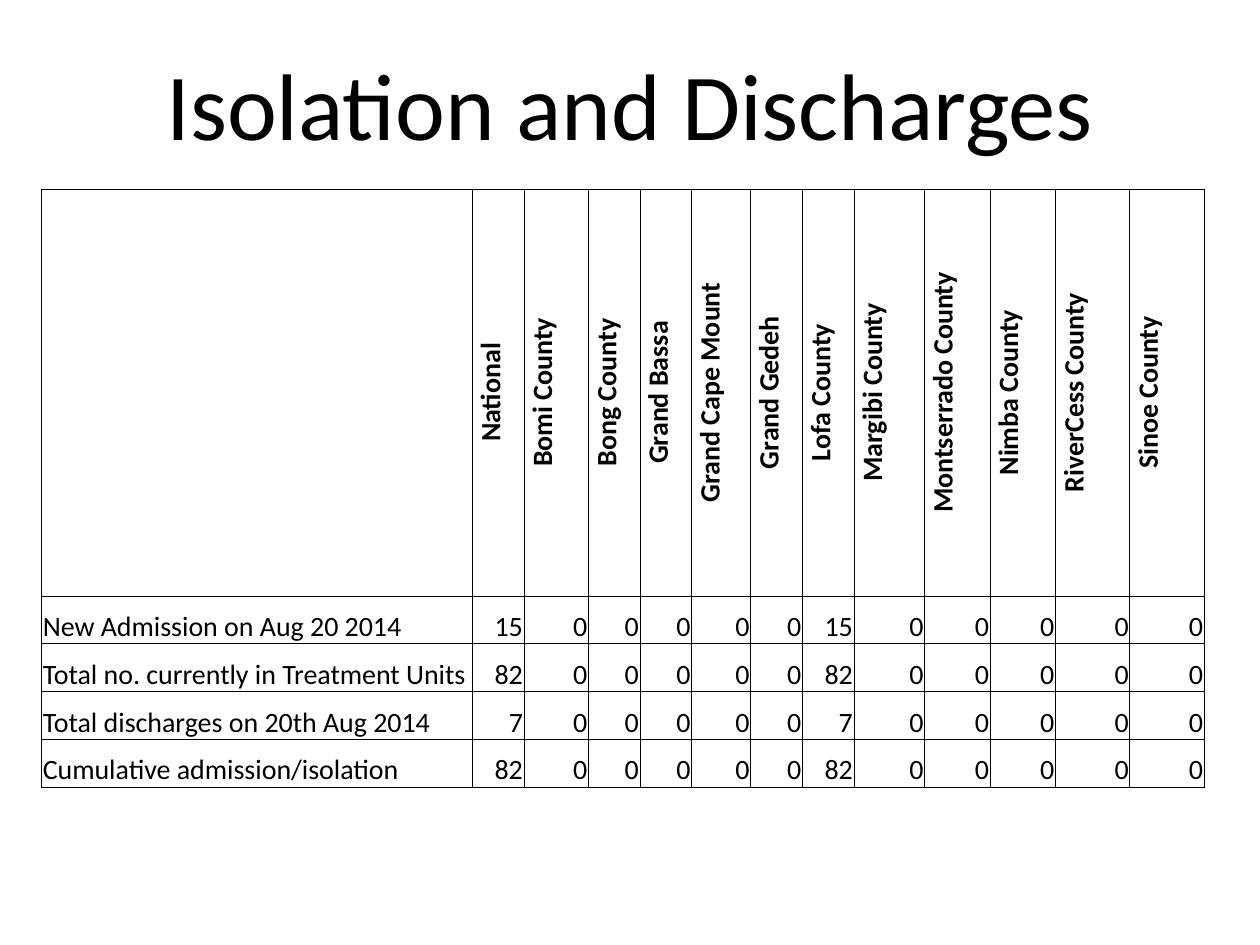
import pptx
import pptx.util
import pptx.oxml
import pptx.oxml.ns
import pptx.dml.color
import pptx.enum.text
from dataclasses import dataclass

Inches = pptx.util.Inches
Pt = pptx.util.Pt
Align = pptx.enum.text.PP_ALIGN
Anchor = pptx.enum.text.MSO_ANCHOR


@dataclass
class Theme:
    font: str = "Calibri"
    ink: str = "000000"
    title: int = 54
    body: int = 16
    line: float = 0.5


theme = Theme()


def style(para, size, align, bold=False):
    para.alignment = align
    font = para.font
    font.name = theme.font
    font.size = Pt(size)
    font.bold = bold
    font.color.rgb = pptx.dml.color.RGBColor.from_string(theme.ink)


def border(cell):
    props = cell._tc.get_or_add_tcPr()
    for i, side in enumerate(("lnL", "lnR", "lnT", "lnB")):
        props.insert(i, pptx.oxml.parse_xml(
            f'<a:{side} {pptx.oxml.ns.nsdecls("a")} w="{int(Pt(theme.line))}">'
            f'<a:solidFill><a:srgbClr val="{theme.ink}"/></a:solidFill>'
            f'</a:{side}>'))


# Slide
deck = pptx.Presentation()
deck.slide_width = Inches(10)
deck.slide_height = Inches(7.5)
slide = deck.slides.add_slide(deck.slide_layouts[6])

# Title
box = slide.shapes.add_textbox(Inches(0.5), Inches(0.3), Inches(9), Inches(1.03))
frame = box.text_frame
frame.word_wrap = True
frame.vertical_anchor = Anchor.MIDDLE
frame.text = "Isolation and Discharges"
style(frame.paragraphs[0], theme.title, Align.CENTER)

# Data: only the national and Lofa columns hold counts
heads = ["", "National", "Bomi County", "Bong County", "Grand Bassa",
         "Grand Cape Mount", "Grand Gedeh", "Lofa County", "Margibi County",
         "Montserrado County", "Nimba County", "RiverCess County", "Sinoe County"]
counts = {
    "New Admission on Aug 20 2014": 15,
    "Total no. currently in Treatment Units": 82,
    "Total discharges on 20th Aug 2014": 7,
    "Cumulative admission/isolation": 82,
}
active = ("National", "Lofa County")
rows = [heads]
for label, count in counts.items():
    rows.append([label] + [str(count if head in active else 0) for head in heads[1:]])

# Table grid
widths = [3.42, 0.41, 0.51, 0.41, 0.41, 0.47, 0.41, 0.41, 0.56, 0.52, 0.52, 0.59, 0.59]
heights = [3.23] + [0.38] * len(counts)
table = slide.shapes.add_table(
    len(rows), len(heads), Inches(0.33), Inches(1.5),
    Inches(sum(widths)), Inches(sum(heights))).table
table.first_row = False
table.horz_banding = False
for col, width in zip(table.columns, widths):
    col.width = Inches(width)
for row, height in zip(table.rows, heights):
    row.height = Inches(height)

# Table cells
for r, row in enumerate(rows):
    for c, text in enumerate(row):
        cell = table.cell(r, c)
        cell.text = text
        cell.fill.background()
        cell.margin_left = cell.margin_right = cell.margin_top = Inches(0.01)
        cell.margin_bottom = 0
        border(cell)
        para = cell.text_frame.paragraphs[0]
        if r == 0:
            cell.vertical_anchor = Anchor.MIDDLE
            style(para, theme.body, Align.CENTER, bold=True)
            if c > 0:
                cell._tc.get_or_add_tcPr().set("vert", "vert270")
        else:
            cell.vertical_anchor = Anchor.BOTTOM
            style(para, theme.body, Align.RIGHT if c else Align.LEFT)

deck.save("out.pptx")
